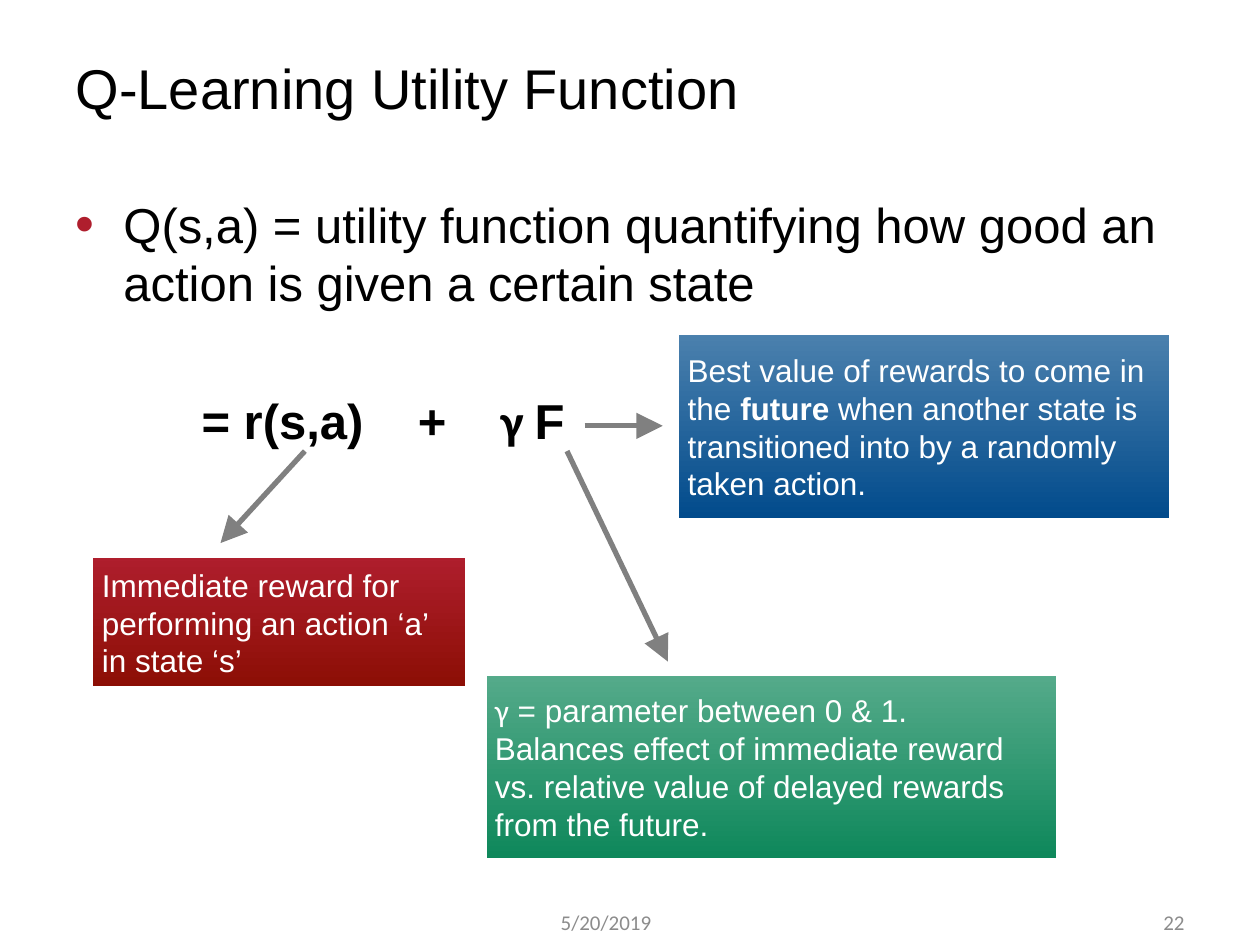
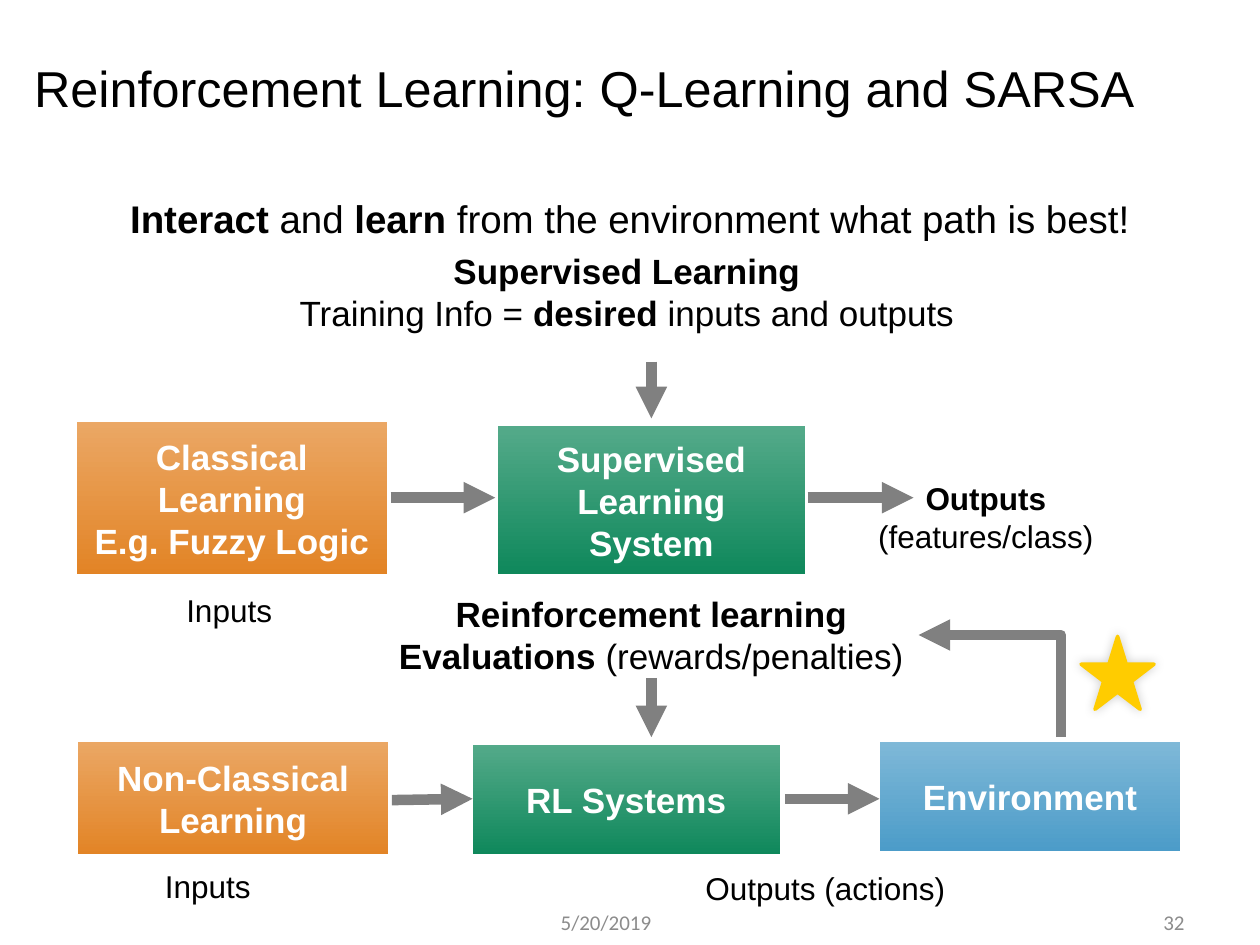
"""Build two slides on Q-learning: its utility function, and its place among learning systems."""
from lxml.etree import SubElement
from pptx import Presentation
from pptx.dml.color import RGBColor
from pptx.enum.shapes import MSO_CONNECTOR, MSO_SHAPE
from pptx.enum.text import MSO_ANCHOR, MSO_AUTO_SIZE, PP_ALIGN
from pptx.oxml.ns import qn
from pptx.util import Pt

PX = 9144
SLIDE_SIZE = (1000, 750)
TITLE_AND_CONTENT = 1

LEFT, CENTER, RIGHT = PP_ALIGN.LEFT, PP_ALIGN.CENTER, PP_ALIGN.RIGHT
TOP, MIDDLE = MSO_ANCHOR.TOP, MSO_ANCHOR.MIDDLE
NO_FIT, GROW = MSO_AUTO_SIZE.NONE, MSO_AUTO_SIZE.SHAPE_TO_FIT_TEXT
STRAIGHT, ELBOW = MSO_CONNECTOR.STRAIGHT, MSO_CONNECTOR.ELBOW
RECTANGLE, STAR = MSO_SHAPE.RECTANGLE, MSO_SHAPE.STAR_5_POINT

BLACK = RGBColor(0x00, 0x00, 0x00)
WHITE = RGBColor(0xFF, 0xFF, 0xFF)
GRAY = RGBColor(0x80, 0x80, 0x80)
FOOTER_GRAY = RGBColor(0x8C, 0x8C, 0x8C)
GOLD = RGBColor(0xFF, 0xCC, 0x00)
CRIMSON = RGBColor(0xAF, 0x1E, 0x2D)
RED_FADE = (RGBColor(0x8B, 0x0E, 0x04), CRIMSON)
NAVY_FADE = (RGBColor(0x00, 0x4A, 0x8B), RGBColor(0x4C, 0x81, 0xAE))
GREEN_FADE = (RGBColor(0x0D, 0x87, 0x5A), RGBColor(0x56, 0xAB, 0x8B))
ORANGE_FADE = (RGBColor(0xE2, 0x83, 0x24), RGBColor(0xEB, 0xA8, 0x66))
SKY_FADE = (RGBColor(0x4A, 0x9B, 0xC8), RGBColor(0x80, 0xB9, 0xD8))

BOLD = {"bold": True}
CALIBRI = {"font": "Calibri"}
WIDE_GAP = (" ", {"bold": True, "spacing": 23.3})

DATE = "5/20/2019"
DATE_AT = (408, 712, 146, 40)
NUMBER_AT = (875, 712, 75, 40)

UTILITY = {
    "title": ("Q-Learning Utility Function", (50, 30, 900, 78), 32),
    "number": "22",
    "body_at": (50, 149, 892, 559),
    "body": [
        ["Q(s,a) = utility function quantifying how good an action is given a certain state"],
        [("= r(s,a)", BOLD), WIDE_GAP, ("+", BOLD), WIDE_GAP,
         ("γ ", {**BOLD, **CALIBRI}), ("F", BOLD)],
    ],
    "body_format": {"size": 28},
    "box_format": {"size": 18},
    "boxes": [
        ((536, 263, 395, 151), NAVY_FADE, [[
            "Best value of rewards to come in the ", ("future", BOLD),
            " when another state is transitioned into by a randomly taken action."]]),
        ((383, 533, 458, 151), GREEN_FADE, [
            [("γ", CALIBRI), " = parameter between 0 & 1."],
            ["Balances effect of immediate reward vs. relative value of delayed "
             "rewards from the future."]]),
        ((71, 440, 301, 108), RED_FADE, [
            ["Immediate reward for performing an action ‘a’ in state ‘s’"]]),
    ],
    "labels": [],
    "arrow_format": {"width": 3, "head": "lg"},
    "arrows": [(450, 358, 530, 525), (242, 358, 175, 431), (464, 338, 526, 338)],
}
FORMULA_INDENT = 100

SYSTEMS = {
    "title": ("Reinforcement Learning: Q-Learning and SARSA", (17, 30, 975, 78), 28.8),
    "number": "32",
    "body_at": (71, 150, 858, 525),
    "body": [[("Interact", BOLD), " and ", ("learn", BOLD),
              " from the environment what path is best!"]],
    "body_format": {"size": 22, "align": CENTER},
    "box_format": {"size": 20, "bold": True, "align": CENTER},
    "boxes": [
        ((58, 332, 252, 127), ORANGE_FADE, [["Classical"], ["Learning"], ["E.g. Fuzzy Logic"]]),
        ((392, 335, 250, 124), GREEN_FADE, [["Supervised"], ["Learning"], ["System"]]),
        ((59, 586, 252, 95), ORANGE_FADE, [["Non-Classical"], ["Learning"]]),
        ((372, 588, 250, 93), GREEN_FADE, [["RL Systems"]]),
        ((695, 586, 245, 93), SKY_FADE, [["Environment"]]),
    ],
    "labels": [
        ((225, 193, 545, 77), 20, CENTER, [
            [("Supervised Learning", BOLD)],
            ["Training Info = ", ("desired", BOLD), " inputs and outputs"]]),
        ((305, 465, 424, 77), 20, CENTER, [
            [("Reinforcement learning", BOLD)],
            [("Evaluations", BOLD), " (rewards/penalties)"]]),
        ((686, 375, 193, 71), 18, CENTER, [[("Outputs", BOLD)], ["(features/class)"]]),
        ((138, 464, 89, 40), 18, LEFT, [["Inputs"]]),
        ((121, 683, 89, 40), 18, LEFT, [["Inputs"]]),
        ((550, 685, 212, 40), 18, LEFT, [["Outputs (actions)"]]),
    ],
    "arrow_format": {"width": 6, "head": "med"},
    "arrows": [
        (517, 287, 517, 332), (517, 538, 517, 585),
        (310, 395, 393, 395), (641, 395, 725, 395),
        (311, 635, 375, 634), (623, 634, 698, 634),
    ],
}
FEEDBACK = (842, 585, 729, 504)
STAR_AT = (858, 505, 58, 58)


def scaled(lengths):
    """Turn px into EMU."""
    return [round(length * PX) for length in lengths]


def write(shape, paragraphs, size=18, font="Arial", color=BLACK, bold=False,
          align=LEFT, anchor=TOP, fit=NO_FIT, wrap=True):
    """Fill a shape with paragraphs of runs; a run is text or (text, changed format)."""
    frame = shape.text_frame
    frame.word_wrap, frame.auto_size, frame.vertical_anchor = wrap, fit, anchor
    for index, runs in enumerate(paragraphs):
        paragraph = frame.add_paragraph() if index else frame.paragraphs[0]
        paragraph.alignment = align
        paragraph.space_before = Pt(0)
        for item in runs:
            text, changes = (item, {}) if isinstance(item, str) else item
            style = {"font": font, "bold": bold, "spacing": 0, **changes}
            run = paragraph.add_run()
            run.text = text
            run.font.name, run.font.bold = style["font"], style["bold"]
            run.font.size, run.font.color.rgb = Pt(size), color
            if style["spacing"]:
                run._r.get_or_add_rPr().set("spc", str(round(style["spacing"] * 100)))
    return frame


def set_list_style(paragraph, indent=0, bullet=False):
    """Indent a paragraph, with a hanging red bullet or none."""
    properties = paragraph._p.get_or_add_pPr()
    properties.set("marL", str(indent * PX))
    properties.set("indent", str(-indent * PX if bullet else 0))
    if bullet:
        color = SubElement(properties, qn("a:buClr"))
        SubElement(color, qn("a:srgbClr"), val=str(CRIMSON))
        SubElement(properties, qn("a:buSzPct"), val="110000")
        SubElement(properties, qn("a:buFont"), typeface="Arial")
        SubElement(properties, qn("a:buChar"), char="•")
    else:
        SubElement(properties, qn("a:buNone"))


def place(placeholder, at):
    """Move a placeholder."""
    placeholder.left, placeholder.top, placeholder.width, placeholder.height = scaled(at)


def add_label(slide, at, paragraphs, **text_format):
    """Add a text box."""
    write(slide.shapes.add_textbox(*scaled(at)), paragraphs, **text_format)


def add_box(slide, at, fade, paragraphs, text_format):
    """Add a rectangle that fades upwards from dark to light."""
    box = slide.shapes.add_shape(RECTANGLE, *scaled(at))
    box.shadow.inherit = False
    box.fill.gradient()
    box.fill.gradient_angle = 90
    for stop, color in zip(box.fill.gradient_stops, fade):
        stop.color.rgb = color
    box.line.color.rgb, box.line.width = WHITE, Pt(4.5)
    write(box, paragraphs, color=WHITE, anchor=MIDDLE, **text_format)


def add_arrow(slide, ends, width, head, kind=STRAIGHT):
    """Add a gray connector with a triangle at its end; return its shape properties."""
    arrow = slide.shapes.add_connector(kind, *scaled(ends))
    arrow.line.color.rgb, arrow.line.width = GRAY, Pt(width)
    properties = arrow.element.spPr
    SubElement(properties.find(qn("a:ln")), qn("a:tailEnd"),
               type="triangle", w=head, len=head)
    SubElement(properties, qn("a:effectLst"))
    return properties


def add_corner_arrow(slide, ends, arrow_format):
    """Add an arrow that goes up, then left, as a quarter-turned one-bend connector."""
    start_x, start_y, end_x, end_y = ends
    middle_x, middle_y = (start_x + end_x) / 2, (start_y + end_y) / 2
    half_rise, half_run = (start_y - end_y) / 2, (start_x - end_x) / 2
    unturned = (middle_x - half_rise, middle_y + half_run,
                middle_x + half_rise, middle_y - half_run)
    properties = add_arrow(slide, unturned, kind=ELBOW, **arrow_format)
    properties.find(qn("a:xfrm")).set("rot", "16200000")
    properties.find(qn("a:prstGeom")).set("prst", "bentConnector2")


def add_star(slide, at):
    """Add the gold reward star with a soft shadow."""
    star = slide.shapes.add_shape(STAR, *scaled(at))
    star.shadow.inherit = False
    star.fill.solid()
    star.fill.fore_color.rgb = star.line.color.rgb = GOLD
    star.line.width = Pt(2)
    properties = star.element.spPr
    SubElement(properties.find(qn("a:ln")), qn("a:round"))
    shadow = SubElement(properties.find(qn("a:effectLst")), qn("a:outerShdw"),
                        blurRad=str(Pt(6)), dist="0", dir="18900000")
    color = SubElement(shadow, qn("a:srgbClr"), val=str(BLACK))
    SubElement(color, qn("a:alpha"), val="20000")


def add_slide(presentation, content):
    """Add a slide with everything both slides share; return it and its body text."""
    slide = presentation.slides.add_slide(presentation.slide_layouts[TITLE_AND_CONTENT])
    title, title_at, title_size = content["title"]
    place(slide.shapes.title, title_at)
    write(slide.shapes.title, [[title]], size=title_size, anchor=MIDDLE)
    body = slide.placeholders[1]
    place(body, content["body_at"])
    body_frame = write(body, content["body"], **content["body_format"])
    for text, at, align in ((DATE, DATE_AT, CENTER), (content["number"], NUMBER_AT, RIGHT)):
        add_label(slide, at, [[text]], size=12, color=FOOTER_GRAY, align=align,
                  anchor=MIDDLE, **CALIBRI)
    for at, size, align, paragraphs in content["labels"]:
        add_label(slide, at, paragraphs, size=size, align=align, fit=GROW, wrap=False)
    for at, fade, paragraphs in content["boxes"]:
        add_box(slide, at, fade, paragraphs, content["box_format"])
    for ends in content["arrows"]:
        add_arrow(slide, ends, **content["arrow_format"])
    return slide, body_frame


def main():
    """Build and save the presentation."""
    presentation = Presentation()
    presentation.slide_width, presentation.slide_height = scaled(SLIDE_SIZE)

    _, utility_body = add_slide(presentation, UTILITY)
    definition, formula = utility_body.paragraphs
    set_list_style(definition, indent=38, bullet=True)
    set_list_style(formula, indent=FORMULA_INDENT)
    formula.space_before = Pt(45)

    systems_slide, systems_body = add_slide(presentation, SYSTEMS)
    set_list_style(systems_body.paragraphs[0])
    add_corner_arrow(systems_slide, FEEDBACK, SYSTEMS["arrow_format"])
    add_star(systems_slide, STAR_AT)

    presentation.save("out.pptx")


if __name__ == "__main__":
    main()
